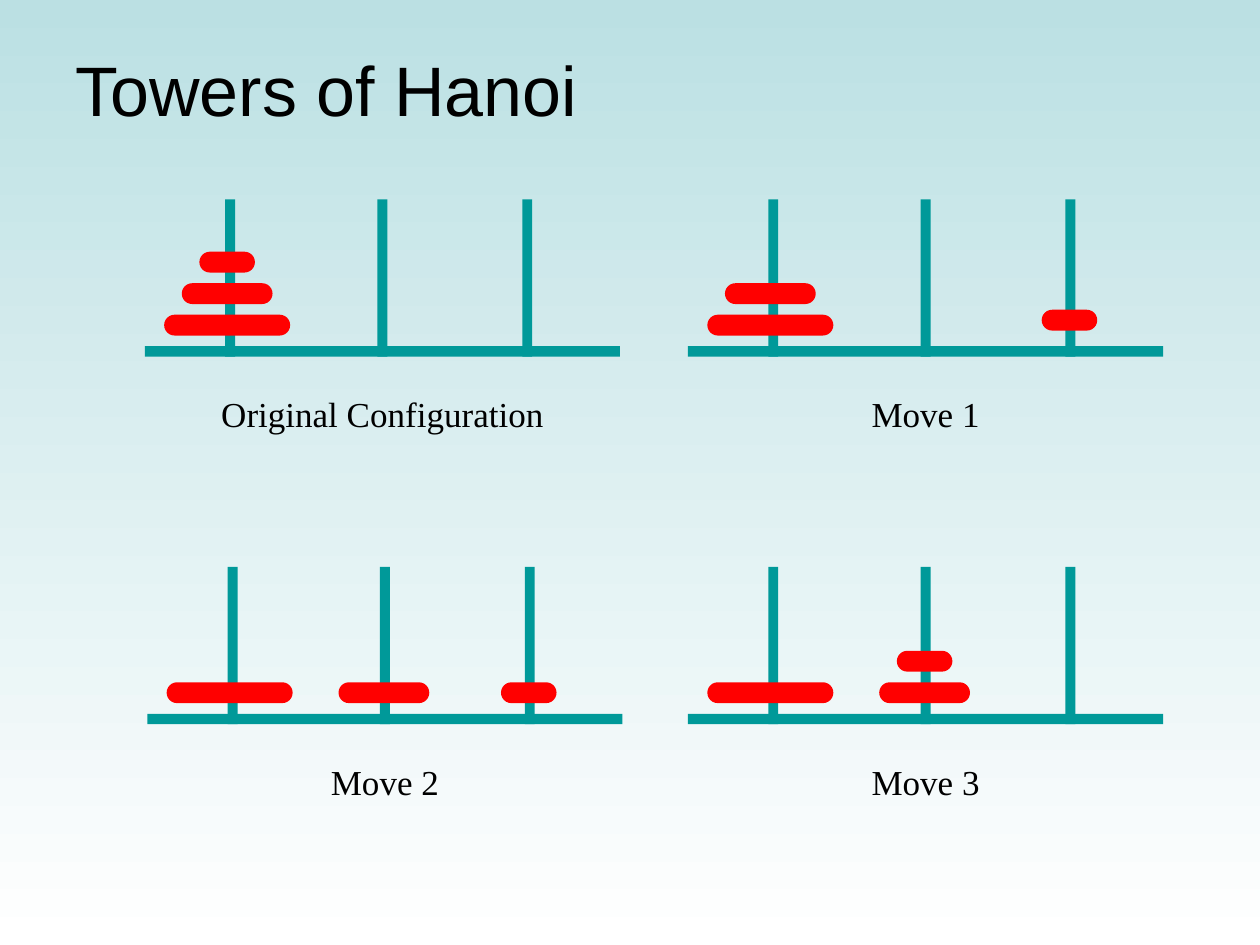
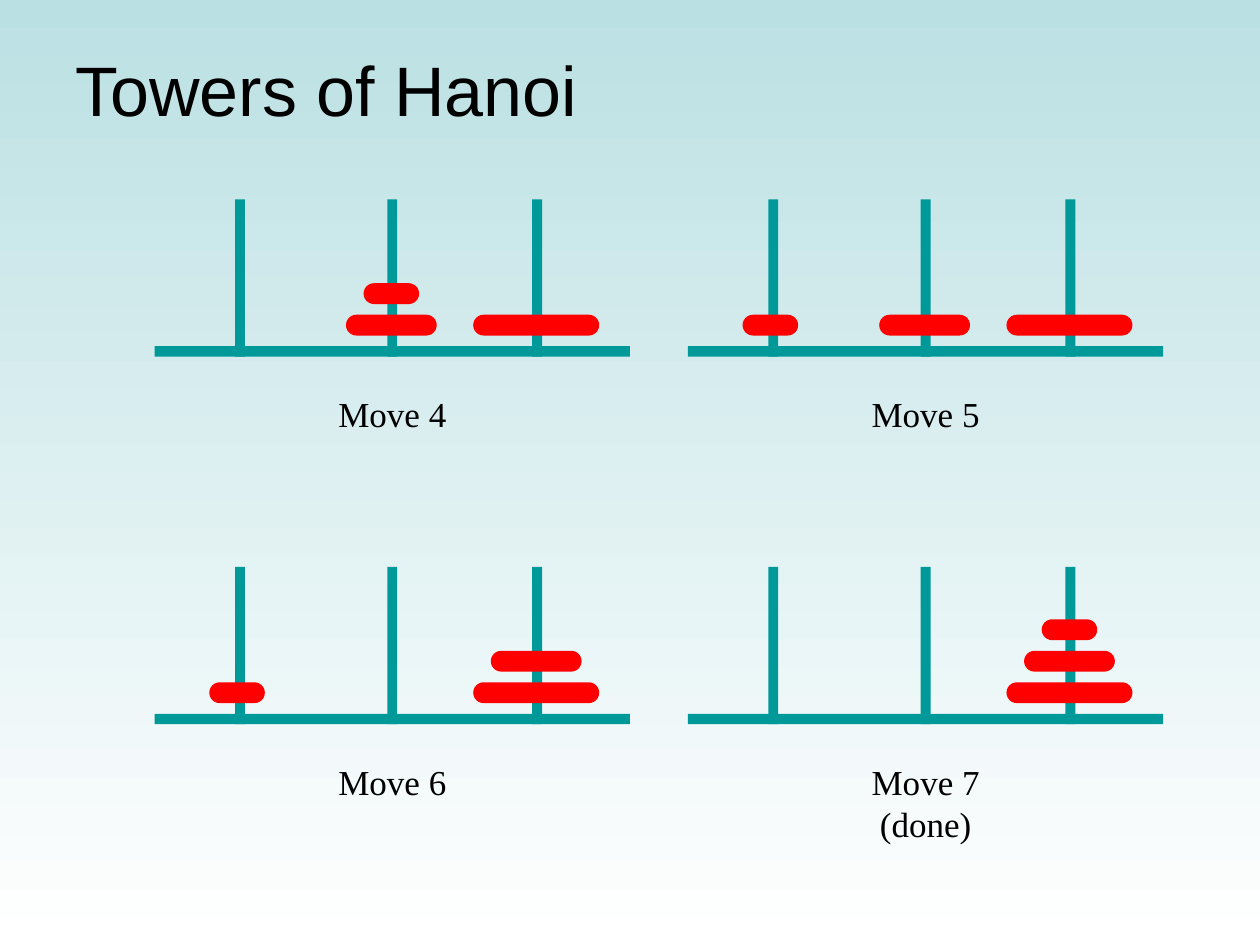
from dataclasses import dataclass

from pptx import Presentation
from pptx.dml.color import RGBColor as Rgb
from pptx.enum.shapes import MSO_SHAPE as Preset
from pptx.enum.text import MSO_ANCHOR as Anchor, MSO_AUTO_SIZE as AutoSize, PP_ALIGN as Align
from pptx.util import Cm, Pt


@dataclass(frozen=True)
class Theme:
    sky: Rgb = Rgb(0xBB, 0xE0, 0xE3)
    ground: Rgb = Rgb(0xFF, 0xFF, 0xFF)
    ink: Rgb = Rgb(0x00, 0x00, 0x00)
    stand: Rgb = Rgb(0x00, 0x99, 0x99)
    disc: Rgb = Rgb(0xFF, 0x00, 0x00)
    title_font: str = "Arial"
    caption_font: str = "Times New Roman"
    title_size: int = 40
    caption_size: int = 20


@dataclass(frozen=True)
class Configuration:
    caption: str
    pegs: tuple  # discs on each peg, listed from the bottom up
    left: float = 13.87
    caption_width: float = 2.69
    lift: float = 0  # extra height of the discs on the last peg


# Measures in centimetres, relative to the top left corner of a stand
ROW_TOPS = (4.02, 11.43)
BASE_WIDTH, BASE_HEIGHT, BASE_DROP = 9.58, 0.21, 2.96
PEG_WIDTH, PEG_HEIGHT = 0.2, 3.17
PEG_CENTRES = (1.72, 4.79, 7.71)
DISC_CENTRES = (1.66, 4.77, 7.69)
DISC_HEIGHT, DISC_STEP = 0.42, 0.635
CAPTION_DROP, CAPTION_HEIGHT = 3.77, 1.12

# Disc widths
SMALL, MEDIUM, LARGE = 1.12, 1.83, 2.54

TITLE = "Towers of Hanoi"
SLIDES = (
    (
        Configuration("Original Configuration", ((LARGE, MEDIUM, SMALL), (), ()),
                      left=2.92, caption_width=7.01),
        Configuration("Move 1", ((LARGE, MEDIUM), (), (SMALL,)), lift=0.1),
        Configuration("Move 2", ((LARGE,), (MEDIUM,), (SMALL,)), left=2.97),
        Configuration("Move 3", ((LARGE,), (MEDIUM, SMALL), ())),
    ),
    (
        Configuration("Move 4", ((), (MEDIUM, SMALL), (LARGE,)), left=3.12),
        Configuration("Move 5", ((SMALL,), (MEDIUM,), (LARGE,))),
        Configuration("Move 6", ((SMALL,), (), (LARGE, MEDIUM)), left=3.12),
        Configuration("Move 7 (done)", ((), (), (LARGE, MEDIUM, SMALL)), caption_width=4.7),
    ),
)


class HanoiDeck:
    def __init__(self, theme):
        self.theme = theme
        self.deck = Presentation()
        self.deck.slide_width, self.deck.slide_height = Cm(25.4), Cm(19.05)
        self.slide = None
        self.shade_background()

    def shade_background(self):
        fill = self.deck.slide_master.background.fill
        fill.gradient()
        fill.gradient_angle = 270
        for stop, colour in zip(fill.gradient_stops, (self.theme.sky, self.theme.ground)):
            stop.color.rgb = colour

    def format_text(self, paragraph, font_name, size, align):
        paragraph.alignment = align
        for run in paragraph.runs:
            run.font.name = font_name
            run.font.size = Pt(size)
            run.font.color.rgb = self.theme.ink

    def start_slide(self, heading):
        self.slide = self.deck.slides.add_slide(self.deck.slide_layouts[5])
        title = self.slide.shapes.title
        title.left, title.top, title.width, title.height = Cm(1.27), Cm(0.2), Cm(23.06), Cm(3.18)
        frame = title.text_frame
        frame.text = heading
        frame.vertical_anchor = Anchor.MIDDLE
        frame.auto_size = AutoSize.NONE
        self.format_text(frame.paragraphs[0], self.theme.title_font,
                         self.theme.title_size, Align.LEFT)

    def add_bar(self, group, preset, colour, centre, top, width, height):
        bar = group.shapes.add_shape(preset, Cm(centre - width / 2), Cm(top),
                                     Cm(width), Cm(height))
        bar.shadow.inherit = False
        bar.fill.solid()
        bar.fill.fore_color.rgb = colour
        bar.line.fill.background()
        return bar

    def add_stand(self, group, left, top):
        self.add_bar(group, Preset.RECTANGLE, self.theme.stand, left + BASE_WIDTH / 2,
                     top + BASE_DROP, BASE_WIDTH, BASE_HEIGHT)
        for centre in PEG_CENTRES:
            self.add_bar(group, Preset.RECTANGLE, self.theme.stand, left + centre,
                         top, PEG_WIDTH, PEG_HEIGHT)

    def add_tower(self, group, centre, base_top, discs):
        for level, width in enumerate(discs, start=1):
            disc = self.add_bar(group, Preset.ROUNDED_RECTANGLE, self.theme.disc, centre,
                                base_top - level * DISC_STEP, width, DISC_HEIGHT)
            disc.adjustments[0] = 0.5

    def add_caption(self, group, text, centre, top, width):
        caption = group.shapes.add_textbox(Cm(centre - width / 2), Cm(top),
                                           Cm(width), Cm(CAPTION_HEIGHT))
        frame = caption.text_frame
        frame.text = text
        frame.word_wrap = False
        frame.auto_size = AutoSize.SHAPE_TO_FIT_TEXT
        self.format_text(frame.paragraphs[0], self.theme.caption_font,
                         self.theme.caption_size, Align.CENTER)

    def add_configuration(self, state, top):
        group = self.slide.shapes.add_group_shape()
        self.add_stand(group, state.left, top)
        lifts = (0, 0, state.lift)
        for centre, discs, lift in zip(DISC_CENTRES, state.pegs, lifts):
            self.add_tower(group, state.left + centre, top + BASE_DROP - lift, discs)
        self.add_caption(group, state.caption, state.left + BASE_WIDTH / 2,
                         top + CAPTION_DROP, state.caption_width)


def main():
    hanoi = HanoiDeck(Theme())
    for configurations in SLIDES:
        hanoi.start_slide(TITLE)
        # Two stands to a row
        for position, state in enumerate(configurations):
            hanoi.add_configuration(state, ROW_TOPS[position // 2])
    hanoi.deck.save("out.pptx")


if __name__ == "__main__":
    main()
